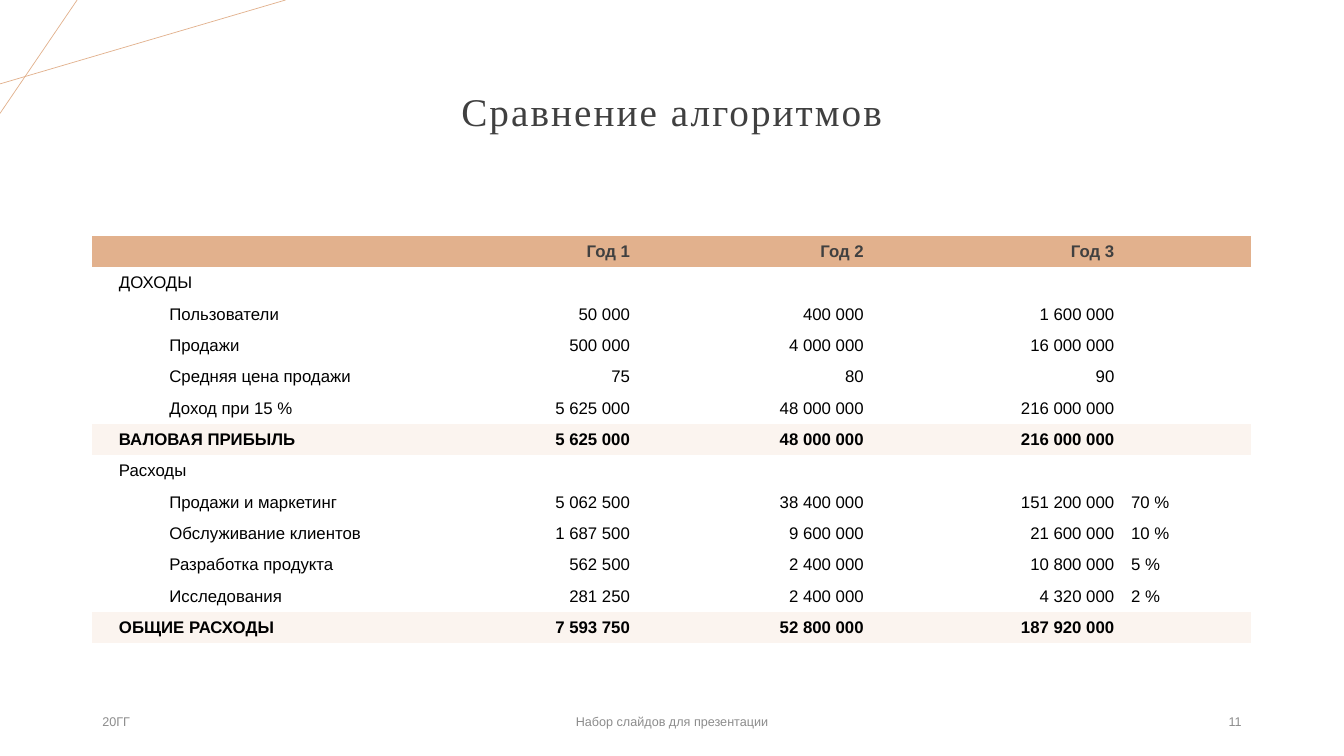
import pptx
import pptx.util
import pptx.dml.color
import pptx.enum.text
import pptx.enum.shapes
import pptx.oxml.ns
import lxml.etree

Pt = pptx.util.Pt
RGBColor = pptx.dml.color.RGBColor
ALIGN = pptx.enum.text.PP_ALIGN
MIDDLE = pptx.enum.text.MSO_ANCHOR.MIDDLE
qn = pptx.oxml.ns.qn

TAN = RGBColor(0xE2, 0xB1, 0x8D)
CREAM = RGBColor(0xFB, 0xF4, 0xEF)
DARK = RGBColor(0x40, 0x40, 0x40)
GRAY = RGBColor(0x8C, 0x8C, 0x8C)
BLACK = RGBColor(0, 0, 0)

NO_STYLE = "{2D5ABB26-0587-4C30-8999-92F81FD0307C}"
HEADER, SECTION, ITEM, TOTAL = range(4)
COLUMNS = [254.5, 135.5, 167, 179, 92]
ROWS = [
    (HEADER, "", ["Год 1", "Год 2", "Год 3"], ""),
    (SECTION, "ДОХОДЫ", [], ""),
    (ITEM, "Пользователи", [50000, 400000, 1600000], ""),
    (ITEM, "Продажи", [500000, 4000000, 16000000], ""),
    (ITEM, "Средняя цена продажи", [75, 80, 90], ""),
    (ITEM, "Доход при 15 %", [5625000, 48000000, 216000000], ""),
    (TOTAL, "ВАЛОВАЯ ПРИБЫЛЬ", [5625000, 48000000, 216000000], ""),
    (SECTION, "Расходы", [], ""),
    (ITEM, "Продажи и маркетинг", [5062500, 38400000, 151200000], "70 %"),
    (ITEM, "Обслуживание клиентов", [1687500, 9600000, 21600000], "10 %"),
    (ITEM, "Разработка продукта", [562500, 2400000, 10800000], "5 %"),
    (ITEM, "Исследования", [281250, 2400000, 4320000], "2 %"),
    (TOTAL, "ОБЩИЕ РАСХОДЫ", [7593750, 52800000, 187920000], ""),
]


def set_text(p, text, size, color, align=ALIGN.LEFT, font="Arial", bold=False):
    p.alignment = align
    p.font.size = Pt(size)
    p.font.name = font
    p.font.bold = bold
    p.font.color.rgb = color
    if text:
        p.add_run().text = text


def add_text(s, x, y, w, h, text, size, color, align, font="Arial"):
    tf = s.shapes.add_textbox(Pt(x), Pt(y), Pt(w), Pt(h)).text_frame
    tf.word_wrap = True
    tf.vertical_anchor = MIDDLE
    p = tf.paragraphs[0]
    set_text(p, text, size, color, align, font)
    return p


def add_corner_lines(s, x, y, w, h):
    ends = [(x, y + 0.74 * h, x + w, y), (x + 0.27 * w, y, x, y + h)]
    for x1, y1, x2, y2 in ends:
        line = s.shapes.add_connector(
            pptx.enum.shapes.MSO_CONNECTOR.STRAIGHT, Pt(x1), Pt(y1), Pt(x2), Pt(y2))
        line.line.color.rgb = TAN
        line.line.width = Pt(0.5)
        lxml.etree.SubElement(line._element.spPr, qn("a:effectLst"))


def add_title(s, x, y, w, h):
    p = add_text(s, x, y, w, h, "Сравнение алгоритмов", 28, DARK,
                 ALIGN.CENTER, "Times New Roman")
    p.line_spacing = 0.9
    p.runs[0]._r.get_or_add_rPr().set("spc", "150")


def add_footer(s, x, y, w, h):
    side, middle = 216, 324
    add_text(s, x, y, side, h, "20ГГ", 9, GRAY, ALIGN.LEFT)
    add_text(s, x + (w - middle) / 2, y, middle, h,
             "Набор слайдов для презентации", 9, GRAY, ALIGN.CENTER)
    add_text(s, x + w - side, y, side, h, "11", 9, GRAY, ALIGN.RIGHT)


def format_value(value):
    return value if isinstance(value, str) else f"{value:,}".replace(",", " ")


def fill_cell(cell, kind, col, text):
    fill = {HEADER: TAN, TOTAL: CREAM}.get(kind)
    if fill is None:
        cell.fill.background()
    else:
        cell.fill.solid()
        cell.fill.fore_color.rgb = fill
    cell.vertical_anchor = MIDDLE
    cell.margin_left = Pt(19 if col == 0 else 6)
    cell.margin_right = Pt(6)
    cell.margin_top = cell.margin_bottom = Pt(3)
    p = cell.text_frame.paragraphs[0]
    set_text(p, text, 12, DARK if kind == HEADER else BLACK,
             ALIGN.RIGHT if col in (1, 2, 3) else ALIGN.LEFT,
             bold=kind in (HEADER, TOTAL))
    if kind == ITEM and col == 0:
        pPr = p._p.get_or_add_pPr()
        pPr.set("marL", str(Pt(36)))
        pPr.set("indent", "0")


def add_finance_table(s, x, y, w, h):
    table = s.shapes.add_table(
        len(ROWS), len(COLUMNS), Pt(x), Pt(y), Pt(w), Pt(h)).table
    table.first_row = table.horz_banding = False
    table._tbl.tblPr.find(qn("a:tableStyleId")).text = NO_STYLE
    for column, width in zip(table.columns, COLUMNS):
        column.width = Pt(width * w / sum(COLUMNS))
    for i, (kind, label, values, share) in enumerate(ROWS):
        table.rows[i].height = Pt(h / len(ROWS))
        numbers = [format_value(v) for v in values] or [""] * 3
        for col, text in enumerate([label, *numbers, share]):
            fill_cell(table.cell(i, col), kind, col, text)


def main():
    prs = pptx.Presentation()
    prs.slide_width, prs.slide_height = Pt(960), Pt(540)
    s = prs.slides.add_slide(prs.slide_layouts[6])
    add_corner_lines(s, 0, 0, 204, 81)
    add_title(s, 66, 29, 828, 104)
    add_footer(s, 66, 500.5, 828, 29)
    add_finance_table(s, 66, 168.5, 828, 291.2)
    prs.save("out.pptx")


if __name__ == "__main__":
    main()
